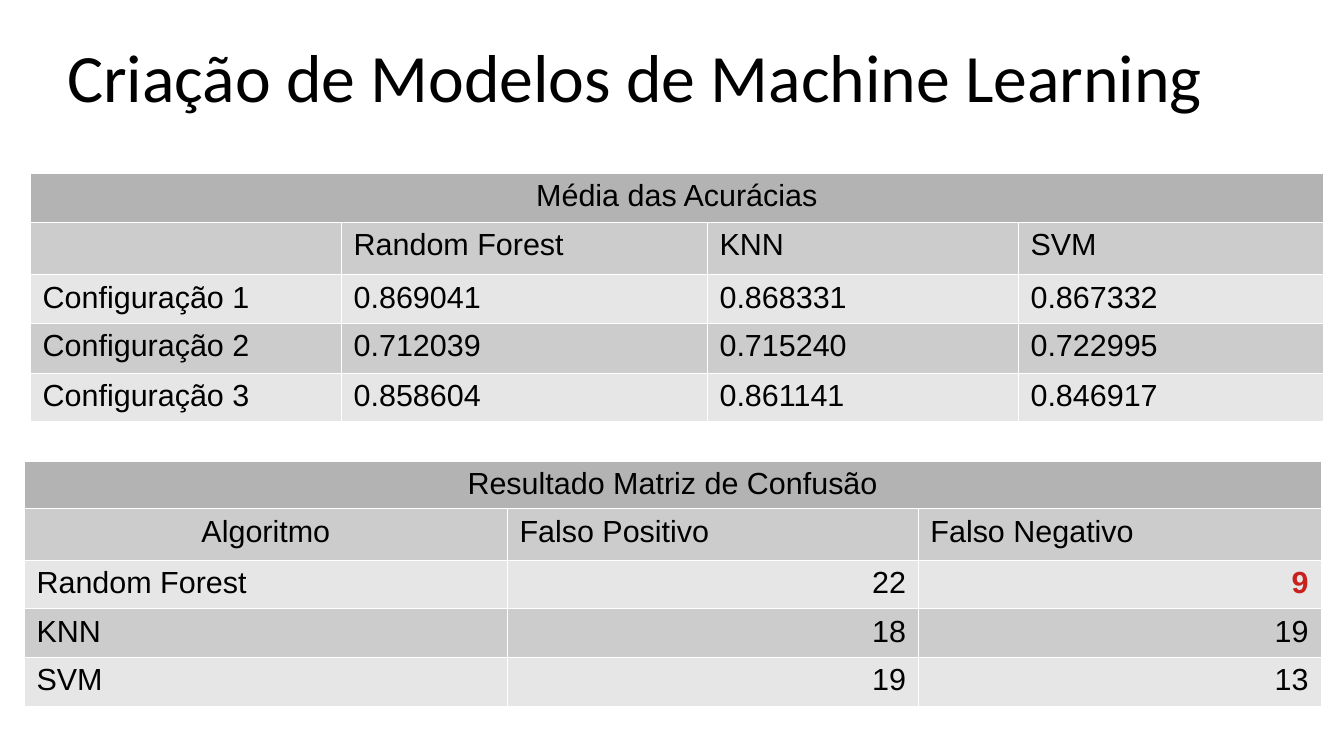
from lxml import etree
from pptx import Presentation
from pptx.dml.color import RGBColor
from pptx.enum.text import MSO_ANCHOR, PP_ALIGN
from pptx.oxml.ns import qn
from pptx.util import Inches, Pt

LEFT, CENTER, RIGHT = PP_ALIGN.LEFT, PP_ALIGN.CENTER, PP_ALIGN.RIGHT
MIDDLE = MSO_ANCHOR.MIDDLE
TITLE_ONLY = 5
COLORS = {"text": "000000", "alert": "C9211E", "border": "FFFFFF",
          "heading": "B3B3B3", "dark": "CCCCCC", "light": "E6E6E6"}

ACCURACY = {
    "box": (0.25, 1.42),
    "cols": (2.55, 3, 2.55, 2.5),
    "rows": (0.4, 0.43, 0.4, 0.41, 0.39),
    "heading": "Média das Acurácias",
    "data": [("", "Random Forest", "KNN", "SVM"),
             ("Configuração 1", "0.869041", "0.868331", "0.867332"),
             ("Configuração 2", "0.712039", "0.715240", "0.722995"),
             ("Configuração 3", "0.858604", "0.861141", "0.846917")],
}
CONFUSION = {
    "box": (0.2, 3.78),
    "cols": (3.96, 3.37, 3.3),
    "rows": (0.39, 0.42, 0.4, 0.4, 0.4),
    "heading": "Resultado Matriz de Confusão",
    "data": [("Algoritmo", "Falso Positivo", "Falso Negativo"),
             ("Random Forest", "22", "9"),
             ("KNN", "18", "19"),
             ("SVM", "19", "13")],
    "number_align": RIGHT,
    "corner_align": CENTER,
    "alert": (2, 2),
}


def format_font(font, name, size, color="text", bold=False):
    values = {"name": name, "size": Pt(size), "bold": bold}
    for key, value in values.items():
        setattr(font, key, value)
    font.color.rgb = RGBColor.from_string(COLORS[color])


def add_title(s, text, left, top, width, height):
    title = s.shapes.title
    box = {"left": left, "top": top, "width": width, "height": height}
    for key, value in box.items():
        setattr(title, key, Inches(value))
    tf = title.text_frame
    tf.text = text
    tf.vertical_anchor = MIDDLE
    for side in ("left", "top", "right", "bottom"):
        setattr(tf, f"margin_{side}", 0)
    p = tf.paragraphs[0]
    p.alignment = LEFT
    format_font(p.runs[0].font, "Calibri", 40)


def set_borders(cell):
    tc_pr = cell._tc.get_or_add_tcPr()
    for side in ("lnL", "lnR", "lnT", "lnB"):
        line = etree.SubElement(tc_pr, qn(f"a:{side}"), w=str(Pt(0.06)))
        fill = etree.SubElement(line, qn("a:solidFill"))
        etree.SubElement(fill, qn("a:srgbClr"), val=COLORS["border"])


def fill_cell(cell, text, fill, align=LEFT, alert=False):
    set_borders(cell)
    cell.fill.solid()
    cell.fill.fore_color.rgb = RGBColor.from_string(COLORS[fill])
    p = cell.text_frame.paragraphs[0]
    p.alignment = align
    if text:
        r = p.add_run()
        r.text = text
        format_font(r.font, "Arial", 18, "alert" if alert else "text", alert)


def add_results_table(s, left, top, cols, rows, heading, data,
                      number_align=LEFT, corner_align=LEFT, alert=None):
    """Draw a merged heading row, a row of labels and banded result rows."""
    table = s.shapes.add_table(
        len(rows), len(cols), Inches(left), Inches(top),
        Inches(sum(cols)), Inches(sum(rows))).table
    table.first_row = table.horz_banding = False
    for col, width in zip(table.columns, cols):
        col.width = Inches(width)
    for row, height in zip(table.rows, rows):
        row.height = Inches(height)

    table.cell(0, 0).merge(table.cell(0, len(cols) - 1))
    fill_cell(table.cell(0, 0), heading, "heading", CENTER)
    for i, values in enumerate(data, start=1):
        for j, text in enumerate(values):
            align = LEFT
            if (i, j) == (1, 0):
                align = corner_align
            elif i > 1 and j > 0:
                align = number_align
            fill_cell(table.cell(i, j), text, "dark" if i % 2 else "light",
                      align, (i, j) == alert)


def main():
    prs = Presentation()
    prs.slide_width, prs.slide_height = Inches(11.02), Inches(6.2)
    s = prs.slides.add_slide(prs.slide_layouts[TITLE_ONLY])
    add_title(s, "Criação de Modelos de Machine Learning",
              0.55, 0.25, 9.92, 0.74)
    for spec_values in (CONFUSION, ACCURACY):
        values = dict(spec_values)
        left, top = values.pop("box")
        add_results_table(s, left, top, **values)
    prs.save("out.pptx")


if __name__ == "__main__":
    main()
